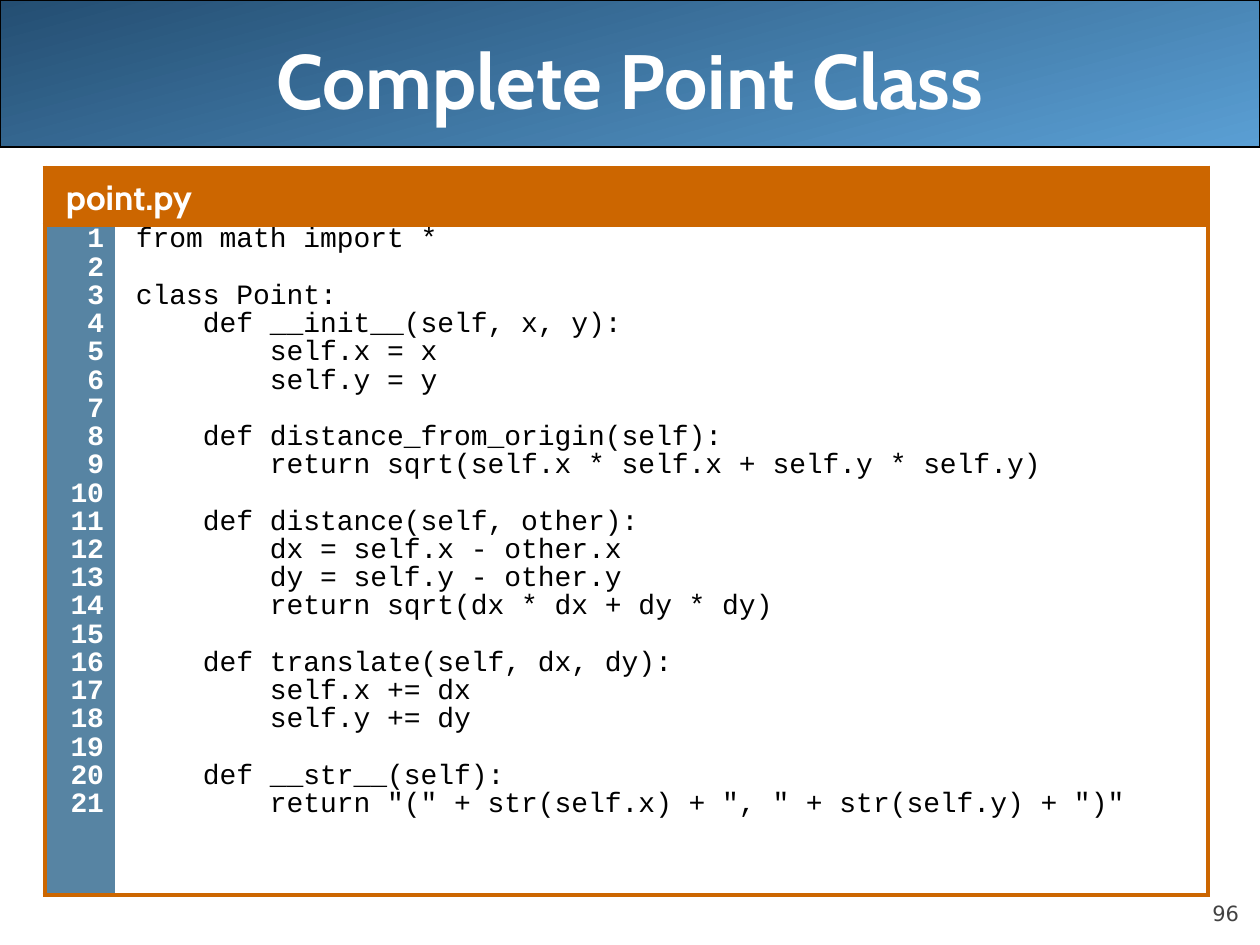
from lxml.etree import SubElement
from pptx import Presentation
from pptx.dml.color import RGBColor
from pptx.enum.shapes import MSO_SHAPE
from pptx.enum.text import MSO_ANCHOR, PP_ALIGN
from pptx.oxml.ns import qn
from pptx.util import Pt

EMU_PER_PX = 914400 / 126

THEME = {
    "banner_dark": "244E72", "banner_light": "5A9FD4", "outline": "000000",
    "frame": "CC6600", "gutter": "5784A3", "paper": "FFFFFF",
    "light_text": "FFFFFF", "code_text": "000000", "page_text": "424242",
    "title_size": 44, "file_size": 20, "code_size": 16, "page_size": 12,
    "heading_font": "Cabin", "code_font": "Courier New", "page_font": "DejaVu Sans",
}

CODE = '''from math import *

class Point:
    def __init__(self, x, y):
        self.x = x
        self.y = y

    def distance_from_origin(self):
        return sqrt(self.x * self.x + self.y * self.y)

    def distance(self, other):
        dx = self.x - other.x
        dy = self.y - other.y
        return sqrt(dx * dx + dy * dy)

    def translate(self, dx, dy):
        self.x += dx
        self.y += dy

    def __str__(self):
        return "(" + str(self.x) + ", " + str(self.y) + ")"'''.split("\n")


def px(*lengths):
    return [round(length * EMU_PER_PX) for length in lengths]


def write(frame, lines, role, color, bold, align, spacing=None, gap=0):
    """Fill a text frame, one paragraph per line, in the style of a theme role."""
    family = "code_font" if role == "code" else "page_font" if role == "page" else "heading_font"
    style = {"name": THEME[family], "size": Pt(THEME[role + "_size"]), "bold": bold}
    for number, line in enumerate(lines):
        paragraph = frame.add_paragraph() if number else frame.paragraphs[0]
        paragraph.text = line
        paragraph.alignment = align
        paragraph.line_spacing = spacing
        paragraph.space_before = Pt(gap if number else 0)
        for attribute, value in style.items():
            setattr(paragraph.font, attribute, value)
        paragraph.font.color.rgb = RGBColor.from_string(THEME[color])


deck = Presentation()
deck.slide_width, deck.slide_height = px(1260, 945)
slide = deck.slides.add_slide(deck.slide_layouts[5])
shapes = slide.shapes

# Title banner, placed behind the title
banner = shapes.add_shape(MSO_SHAPE.ROUNDED_RECTANGLE, *px(0, 0, 1260, 147))
banner.adjustments[0] = 0
banner.shadow.inherit = False
banner.fill.gradient()
banner.fill.gradient_angle = 285
for stop, position, color in zip(banner.fill.gradient_stops, (0, 1), ("banner_dark", "banner_light")):
    stop.position = position
    stop.color.rgb = RGBColor.from_string(THEME[color])
banner.line.color.rgb = RGBColor.from_string(THEME["outline"])
banner.line.width = Pt(0.75)
title = shapes.title
title._element.addprevious(banner._element)

# Title
title.left, title.top, title.width, title.height = px(63, 0, 1134, 158)
title.text_frame.vertical_anchor = MSO_ANCHOR.MIDDLE
write(title.text_frame, ["Complete Point Class"], "title", "light_text", True, PP_ALIGN.CENTER)

# Page number
page = shapes.add_textbox(*px(1134, 876, 105, 50)).text_frame
page.word_wrap = True
page.vertical_anchor = MSO_ANCHOR.BOTTOM
page.margin_left = page.margin_top = page.margin_right = page.margin_bottom = 0
write(page, ["96"], "page", "page_text", False, PP_ALIGN.RIGHT)

# Listing: file name above line numbers and code
listing = shapes.add_table(2, 2, *px(45, 168, 1163, 727)).table
for column, width in zip(listing.columns, px(70, 1093)):
    column.width = width
for row, height in zip(listing.rows, px(57, 670)):
    row.height = height
file_name, header_rest = listing.rows[0].cells
gutter, source = listing.rows[1].cells
file_name.merge(header_rest)

# Cell fills, margins (left, top, right, bottom) and framed sides
for cell, fill, margins, sides in (
    (file_name, "frame", (21, 6, 6, 6), "LRTB"),
    (header_rest, "frame", (6, 6, 6, 6), "LRTB"),
    (gutter, "gutter", (6, 6, 11, 6), "LTB"),
    (source, "paper", (21, 6, 23, 6), "RTB"),
):
    cell.margin_left, cell.margin_top, cell.margin_right, cell.margin_bottom = px(*margins)
    properties = cell._tc.get_or_add_tcPr()
    for side in "LRTB":
        border = SubElement(properties, qn("a:ln" + side), w=str(Pt(3)))
        if side in sides:
            paint = SubElement(border, qn("a:solidFill"))
            SubElement(paint, qn("a:srgbClr"), val=THEME["frame"])
        else:
            SubElement(border, qn("a:noFill"))
    cell.fill.solid()
    cell.fill.fore_color.rgb = RGBColor.from_string(THEME[fill])

# Listing text
line_numbers = [str(number) for number in range(1, len(CODE) + 1)]
write(file_name.text_frame, ["point.py"], "file", "light_text", True, PP_ALIGN.LEFT, 1.07)
write(gutter.text_frame, line_numbers, "code", "light_text", True, PP_ALIGN.RIGHT, 0.67, 4)
write(source.text_frame, CODE, "code", "code_text", False, PP_ALIGN.LEFT, 0.67, 4)

deck.save("out.pptx")
